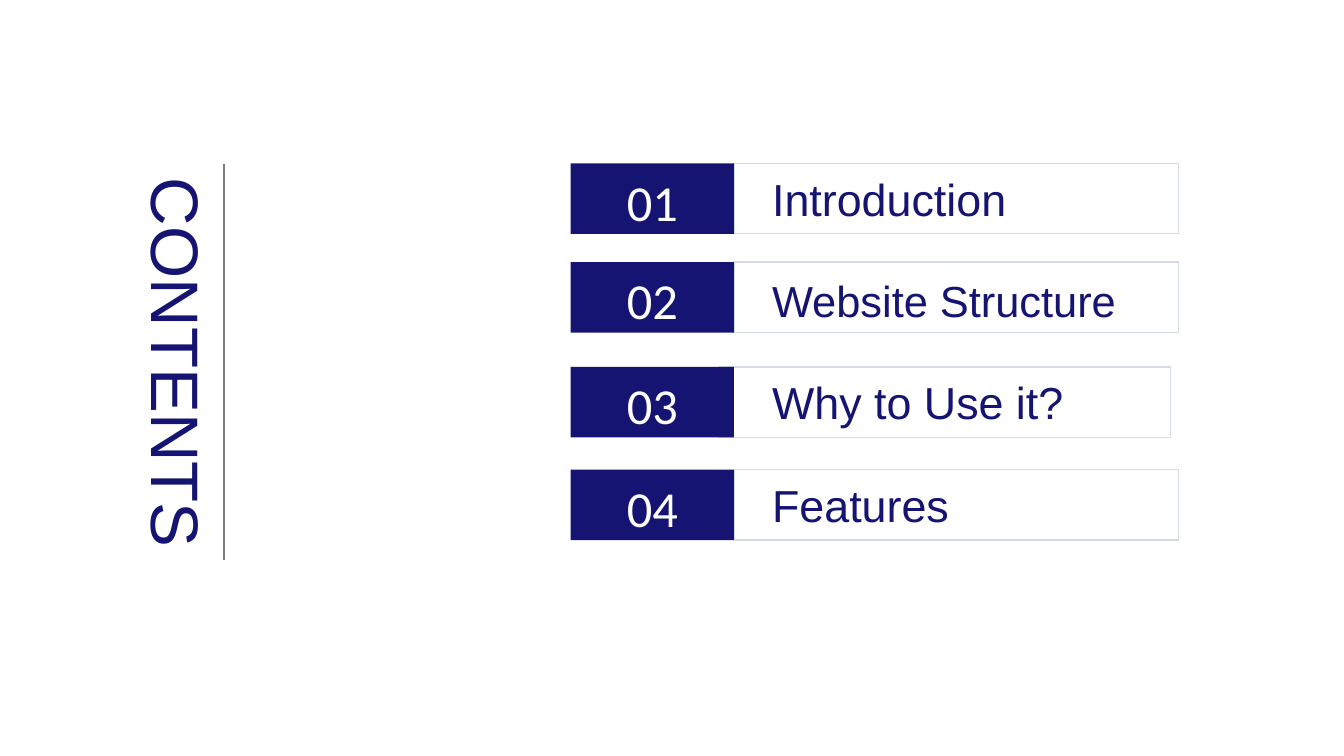
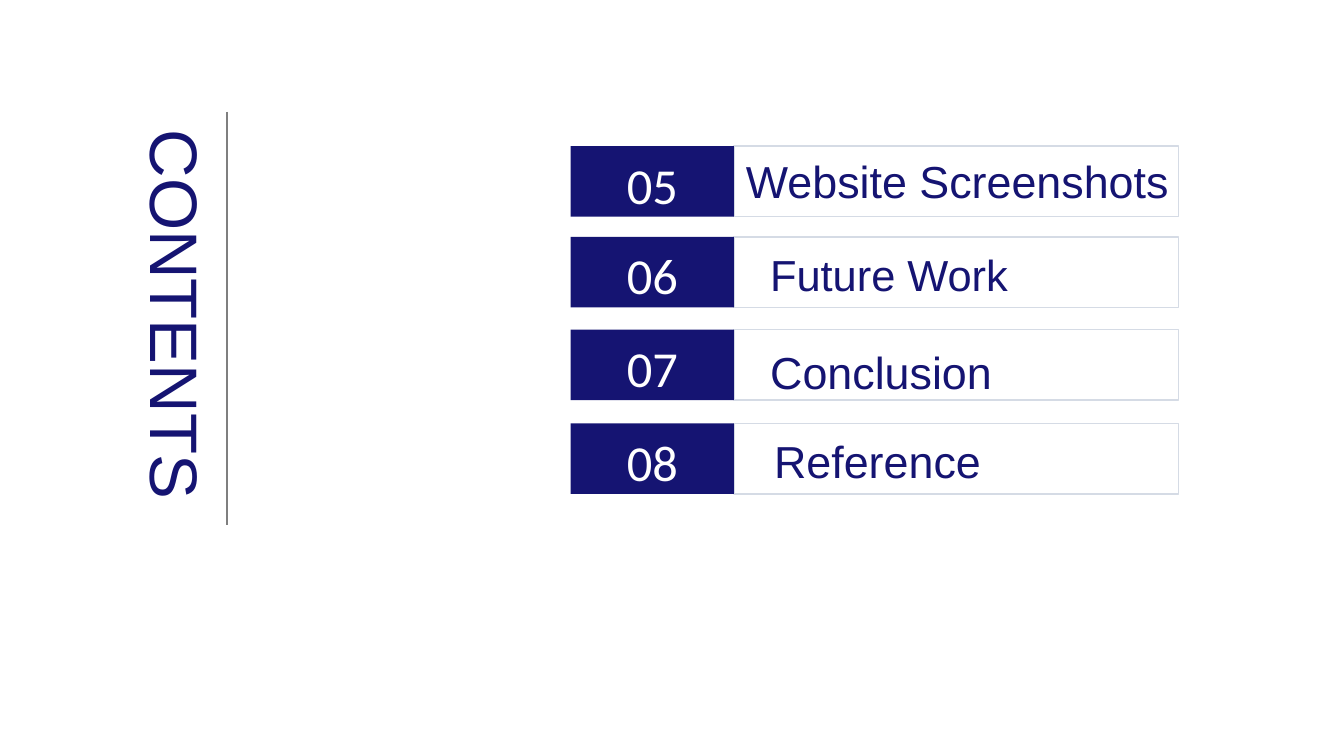
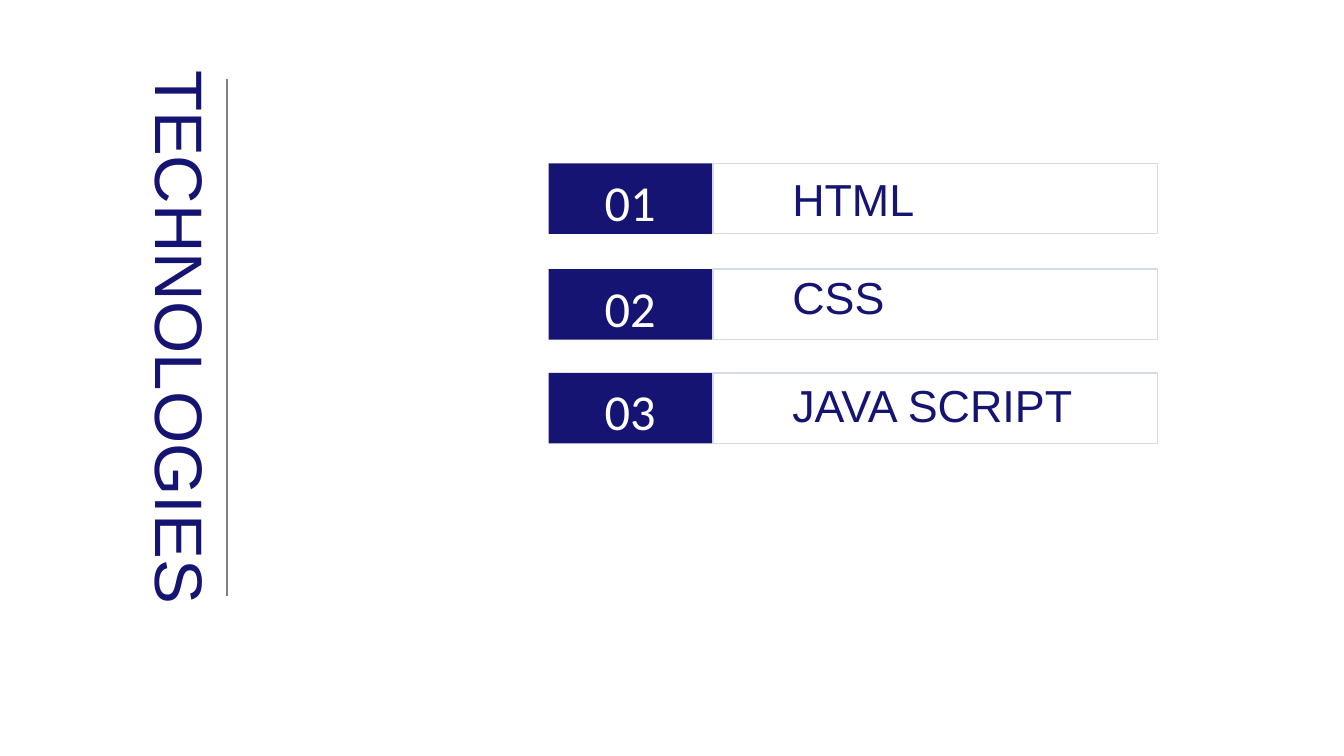
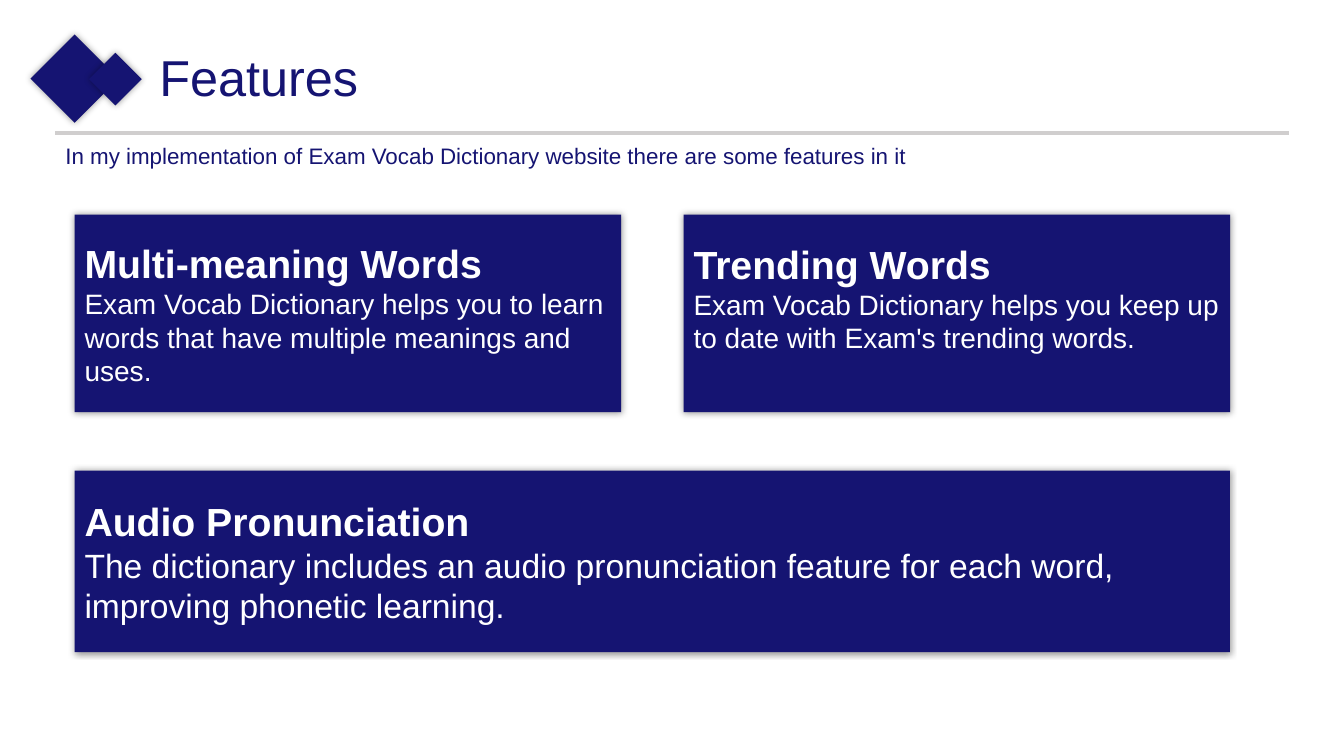
from pptx import Presentation
from pptx.dml.color import RGBColor
from pptx.enum.shapes import MSO_CONNECTOR as Link, MSO_SHAPE as Kind
from pptx.enum.text import MSO_ANCHOR as Anchor, MSO_AUTO_SIZE as Fit, PP_ALIGN as Align
from pptx.oxml import parse_xml
from pptx.oxml.ns import nsdecls
from pptx.oxml.xmlchemy import OxmlElement
from pptx.util import Inches, Pt

NAVY = RGBColor(0x15, 0x14, 0x72)
WHITE = RGBColor(0xFF, 0xFF, 0xFF)
FRAME = RGBColor(0xD5, 0xDB, 0xE5)
GRAY = RGBColor(0x7F, 0x7F, 0x7F)
SILVER = RGBColor(0xD0, 0xCE, 0xCE)

NUM_W, ROW_H = 1.62, 0.7
LABEL_H = 0.64

# Row: top, frame left, frame width, label (text, left, top, width, size)
INTRO = [
    (1.62, 7.28, 4.41, ("Introduction", 7.56, 1.65, 3.71, 32)),
    (2.6, 7.28, 4.41, ("Website Structure", 7.56, 2.67, 3.93, 31)),
    (3.64, 7.13, 4.48, ("Why to Use it?", 7.56, 3.67, 3.38, 32)),
    (4.66, 7.28, 4.41, ("Features", 7.56, 4.69, 3.93, 32)),
]
MORE = [
    (1.45, 7.28, 4.41, ("Website Screenshots", 7.3, 1.48, 4.41, 32)),
    (2.35, 7.28, 4.41, ("Future Work", 7.54, 2.41, 3.93, 31)),
    (3.27, 7.28, 4.41, ("Conclusion", 7.54, 3.37, 3.21, 32)),
    (4.2, 7.28, 4.41, ("Reference", 7.58, 4.25, 3.67, 32)),
]
TECH = [
    (1.62, 7.07, 4.41, ("HTML", 7.76, 1.65, 2.36, 32)),
    (2.67, 7.07, 4.41, ("CSS", 7.76, 2.63, 1.62, 32)),
    (3.7, 7.07, 4.41, ("JAVA SCRIPT", 7.76, 3.7, 3.85, 32)),
]


def inches(*nums):
    return [Inches(num) for num in nums]


def write(frame, text, size, color=NAVY, font="Arial", bold=False,
          align=Align.LEFT, anchor=Anchor.TOP, foot=0.05, more=False):
    """Set one paragraph; with more=True, add it after the others."""
    frame.word_wrap = True
    frame.auto_size = Fit.NONE
    frame.vertical_anchor = anchor
    frame.margin_left, frame.margin_right = inches(0.1, 0.1)
    frame.margin_top, frame.margin_bottom = inches(0.05, foot)
    para = frame.add_paragraph() if more else frame.paragraphs[0]
    para.alignment = align
    run = para.add_run()
    run.text = text
    run.font.size = Pt(size)
    run.font.name = font
    run.font.bold = bold
    run.font.color.rgb = color


def label(slide, text, box, size):
    frame = slide.shapes.add_textbox(*inches(*box)).text_frame
    write(frame, text, size)


def title(slide, text, box, size, turn=0):
    head = slide.shapes.title
    head.left, head.top, head.width, head.height = inches(*box)
    head.rotation = turn
    write(head.text_frame, text, size)


def rule(slide, start, end, color, width):
    line = slide.shapes.add_connector(Link.STRAIGHT, *inches(*start, *end))
    line.line.color.rgb = color
    line.line.width = Pt(width)
    line._element.spPr.append(OxmlElement("a:effectLst"))


def rect(slide, box, fill=None, edge=None):
    shape = slide.shapes.add_shape(Kind.RECTANGLE, *inches(*box))
    shape.shadow.inherit = False
    if fill is None:
        shape.fill.background()
    else:
        shape.fill.solid()
        shape.fill.fore_color.rgb = fill
    if edge is None:
        shape.line.fill.background()
    else:
        shape.line.color.rgb = edge
        shape.line.width = Pt(1)
    return shape


def raised(slide, box, turn=0):
    """Add a navy rectangle with a soft shadow all round."""
    shape = rect(slide, box, NAVY)
    shape.rotation = turn
    glow = parse_xml(
        f'<a:outerShdw {nsdecls("a")} blurRad="{Pt(5)}" dist="0" dir="0" '
        'algn="ctr" rotWithShape="0"><a:srgbClr val="000000">'
        '<a:alpha val="40000"/></a:srgbClr></a:outerShdw>')
    shape._element.spPr.find(
        "{http://schemas.openxmlformats.org/drawingml/2006/main}effectLst"
    ).append(glow)
    return shape


def card(slide, box, head, body, size, foot=0.05):
    frame = raised(slide, box).text_frame
    style = dict(color=WHITE, anchor=Anchor.MIDDLE, foot=foot)
    write(frame, head, 28, bold=True, **style)
    write(frame, body, size, more=True, **style)


def agenda(slide, name, box, bar, rows, left, first=1):
    """Fill a slide with a sideways title, a rule and numbered rows."""
    title(slide, name, box, 48, turn=90)
    x, top, end = bar
    rule(slide, (x, top), (x, end), GRAY, 1.5)
    for num, (y, edge, width, item) in enumerate(rows, first):
        text, text_x, text_y, text_w, size = item
        rect(slide, (edge, y, width, ROW_H), edge=FRAME)
        tag = rect(slide, (left, y, NUM_W, ROW_H), NAVY)
        write(tag.text_frame, f"{num:02}", 36, color=WHITE, font="Calibri",
              align=Align.CENTER, anchor=Anchor.MIDDLE, foot=0)
        label(slide, text, (text_x, text_y, text_w, LABEL_H), size)


def features(slide):
    rule(slide, (0.55, 1.32), (12.78, 1.32), SILVER, 2.25)
    raised(slide, (0.43, 0.47, 0.62, 0.62), turn=315)
    raised(slide, (0.96, 0.6, 0.37, 0.37), turn=315)
    title(slide, "Features", (1.48, 0.41, 6.21, 0.71), 36)
    label(slide, "In my implementation of Exam Vocab Dictionary website "
          "there are some features in it", (0.55, 1.36, 12.24, 0.37), 16)
    card(slide, (0.74, 2.13, 5.42, 1.96), "Multi-meaning Words",
         "Exam Vocab Dictionary helps you to learn words that have "
         "multiple meanings and uses.", 20)
    card(slide, (6.78, 2.13, 5.42, 1.96), "Trending Words",
         "Exam Vocab Dictionary helps you keep up to date with "
         "Exam's trending words.", 20, foot=0.37)
    card(slide, (0.74, 4.67, 11.46, 1.8), "Audio Pronunciation",
         "The dictionary includes an audio pronunciation feature for "
         "each word, improving phonetic learning.", 24)


def main():
    deck = Presentation()
    deck.slide_width, deck.slide_height = inches(13.33, 7.5)
    plain = deck.slide_layouts.get_by_name("Title Only")
    one, two, three, four = [deck.slides.add_slide(plain) for _ in range(4)]
    agenda(one, "CONTENTS", (-0.46, 3.43, 4.44, 0.91),
           (2.22, 1.63, 5.56), INTRO, 5.66)
    agenda(two, "CONTENTS", (-0.41, 2.89, 4.32, 0.91),
           (2.25, 1.11, 5.21), MORE, 5.66, first=len(INTRO) + 1)
    agenda(three, "TECHNOLOGIES", (-1.15, 3.09, 5.9, 0.91),
           (2.25, 0.78, 5.91), TECH, 5.44)
    features(four)
    deck.save("out.pptx")


if __name__ == "__main__":
    main()
